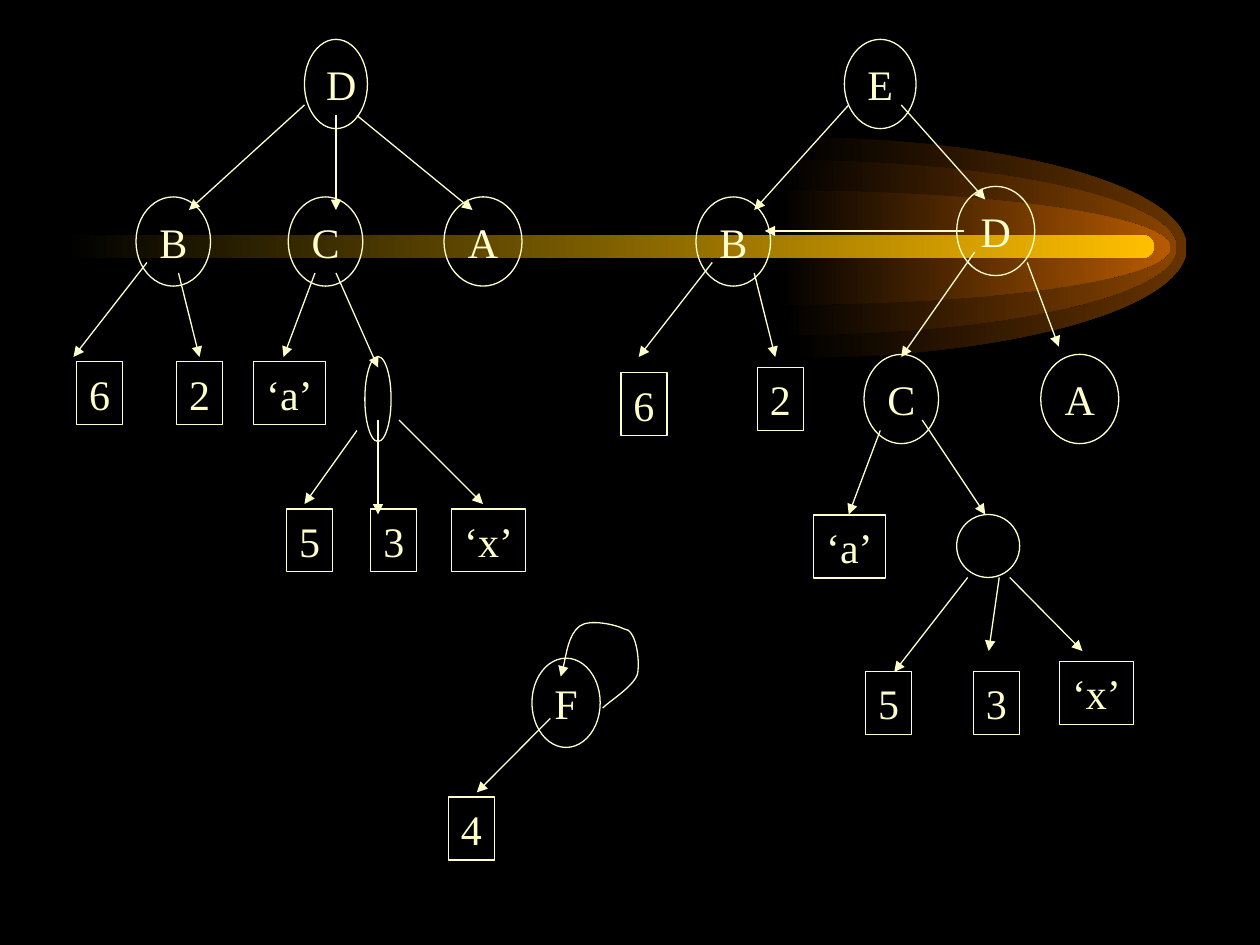
from lxml import etree
from pptx import Presentation
from pptx.dml.color import RGBColor
from pptx.enum.shapes import MSO_CONNECTOR, MSO_SHAPE
from pptx.enum.text import MSO_ANCHOR, MSO_AUTO_SIZE, PP_ALIGN
from pptx.oxml.ns import qn
from pptx.util import Pt

OVAL, BOX, BAR = MSO_SHAPE.OVAL, MSO_SHAPE.RECTANGLE, MSO_SHAPE.ROUNDED_RECTANGLE
STRAIGHT = MSO_CONNECTOR.STRAIGHT
MIDDLE, CENTER = MSO_ANCHOR.MIDDLE, PP_ALIGN.CENTER
GROW = MSO_AUTO_SIZE.SHAPE_TO_FIT_TEXT

COLORS = {"black": "000000", "cream": "FFFFCC", "brown": "663300",
          "rust": "894400", "orange": "B75B00", "gold": "FFBF00"}
SHADES = {name: RGBColor.from_string(value) for name, value in COLORS.items()}
OVAL_HEIGHT, BOX_HEIGHT = 51, 36
DIGIT, QUOTED_A, QUOTED_X = 26.3, 41.3, 42.5


def write_text(frame, text, font="Times New Roman", size=24, color="cream", wrap=False):
    frame.word_wrap = wrap
    frame.auto_size = GROW
    frame.vertical_anchor = MIDDLE
    para = frame.paragraphs[0]
    para.alignment = CENTER
    span = para.add_run()
    span.text = text
    span.font.name = font
    span.font.size = Pt(size)
    span.font.color.rgb = SHADES[color]


def add_curve(group, points, close):
    corners = [(Pt(x), Pt(y)) for x, y in points]
    builder = group.shapes.build_freeform(*corners[0])
    builder.add_line_segments(corners[1:], close=close)
    curve = builder.convert_to_shape()
    curve.shadow.inherit = False
    lines = list(curve.element.iter(qn("a:lnTo")))
    for first in range(0, len(lines) - 2, 3):
        bezier = etree.Element(qn("a:cubicBezTo"))
        lines[first].addprevious(bezier)
        for line in lines[first:first + 3]:
            bezier.append(line[0])
            line.getparent().remove(line)
    return curve


deck = Presentation()
deck.slide_width, deck.slide_height = Pt(720), Pt(540)
page = deck.slides.add_slide(deck.slide_layouts[6])
page.background.fill.solid()
page.background.fill.fore_color.rgb = SHADES["black"]

comet = page.shapes.add_group_shape()
comet_parts = []
axis_y, reach, bend = 141.5, 225.4, 0.55
for left, radius, color in [(452.7, 63, "brown"), (447, 50, "rust"), (443.5, 32.7, "orange")]:
    tip, shoulder = left + reach, left + bend * reach
    top, bottom = axis_y - radius, axis_y + radius
    halo = add_curve(comet, [
        (left, top),
        (shoulder, top), (tip, axis_y - bend * radius), (tip, axis_y),
        (tip, axis_y + bend * radius), (shoulder, bottom), (left, bottom),
        (left, axis_y)], close=True)
    comet_parts.append((halo, color))
bar = comet.shapes.add_shape(BAR, Pt(36), Pt(134.4), Pt(623.5), Pt(13))
bar.shadow.inherit = False
bar.adjustments[0] = 0.5
comet_parts.append((bar, "gold"))
for part, color in comet_parts:
    part.line.fill.background()
    part.fill.gradient()
    part.fill.gradient_angle = 0
    for stop, shade in zip(part.fill.gradient_stops, ("black", color)):
        stop.color.rgb = SHADES[shade]

TREES = [
    {"nodes": [
        ("D", 192, 48, 36, OVAL_HEIGHT), ("B", 99, 138, 42.6, OVAL_HEIGHT),
        ("C", 186, 138, 42.6, OVAL_HEIGHT), ("A", 276, 138, 44.6, OVAL_HEIGHT),
        ("6", 57, 224.8, DIGIT, BOX_HEIGHT), ("2", 114, 224.8, DIGIT, BOX_HEIGHT),
        ("‘a’", 165.4, 224.8, QUOTED_A, BOX_HEIGHT), ("", 216, 228, 15, 48.6),
        ("5", 177, 308.8, DIGIT, BOX_HEIGHT), ("3", 225, 308.8, DIGIT, BOX_HEIGHT),
        ("‘x’", 279.2, 308.8, QUOTED_X, BOX_HEIGHT)],
     "arrows": [
        (174, 60, 108, 120), (192, 66, 192, 120), (204, 66, 270, 120),
        (84, 150, 42, 204), (102, 156, 114, 204), (192, 156, 216, 210),
        (180, 156, 162, 204), (204, 246, 174, 288), (216, 240, 216, 294),
        (228, 240, 276, 288)]},
    {"nodes": [
        ("E", 503, 48, 41, OVAL_HEIGHT), ("B", 419, 138, 42.6, OVAL_HEIGHT),
        ("D", 569, 132, 44.6, OVAL_HEIGHT), ("C", 515, 228, 42.6, OVAL_HEIGHT),
        ("A", 617, 228, 44.6, OVAL_HEIGHT), ("6", 368, 231, DIGIT, BOX_HEIGHT),
        ("2", 446, 228, DIGIT, BOX_HEIGHT), ("‘a’", 485.4, 312.3, QUOTED_A, BOX_HEIGHT),
        ("", 564.7, 312, 36, 36), ("5", 507.8, 401.8, DIGIT, BOX_HEIGHT),
        ("3", 569.3, 401.8, DIGIT, BOX_HEIGHT), ("‘x’", 626.6, 396, QUOTED_X, BOX_HEIGHT)],
     "arrows": [
        (485, 60, 431, 120), (515, 60, 563, 114), (407, 150, 365, 204),
        (431, 156, 443, 204), (557, 144, 515, 204), (587, 150, 605, 198),
        (503, 246, 485, 294), (527, 240, 563, 294), (553, 330, 511, 384),
        (571, 330, 565, 372), (577, 330, 618.5, 372), (551, 132, 437, 132)]},
    {"nodes": [("F", 323.5, 401.6, 39, OVAL_HEIGHT), ("4", 269.4, 473.5, DIGIT, BOX_HEIGHT)],
     "arrows": [(314.5, 410.5, 272.5, 452.8)]},
]

arrows = []
for tree in TREES:
    group = page.shapes.add_group_shape()
    for text, x, y, width, height in tree["nodes"]:
        kind = BOX if text and height == BOX_HEIGHT else OVAL
        node = group.shapes.add_shape(kind, Pt(x - width / 2), Pt(y - height / 2),
                                      Pt(width), Pt(height))
        node.shadow.inherit = False
        node.fill.background()
        node.line.color.rgb = SHADES["cream"]
        node.line.width = Pt(0.75)
        if text:
            write_text(node.text_frame, text, wrap=width == 36)
    for ends in tree["arrows"]:
        arrow = group.shapes.add_connector(STRAIGHT, *[Pt(value) for value in ends])
        etree.SubElement(arrow.element.spPr, qn("a:effectLst"))
        arrows.append(arrow)

self_loop = add_curve(group, [
    (344.4, 404.6),
    (347.8, 401), (362, 392.4), (364.3, 385.2),
    (365.8, 377.3), (363.6, 359.3), (356.4, 359.3),
    (352, 357), (337, 353.5), (331.2, 357.8),
    (324.7, 362.9), (322.6, 380.9), (320.4, 386.6)], close=False)
self_loop.fill.background()
arrows.append(self_loop)

for arrow in arrows:
    arrow.line.color.rgb = SHADES["cream"]
    arrow.line.width = Pt(0.75)
    etree.SubElement(arrow.get_or_add_ln(), qn("a:tailEnd"), type="triangle")

deck.save("out.pptx")
